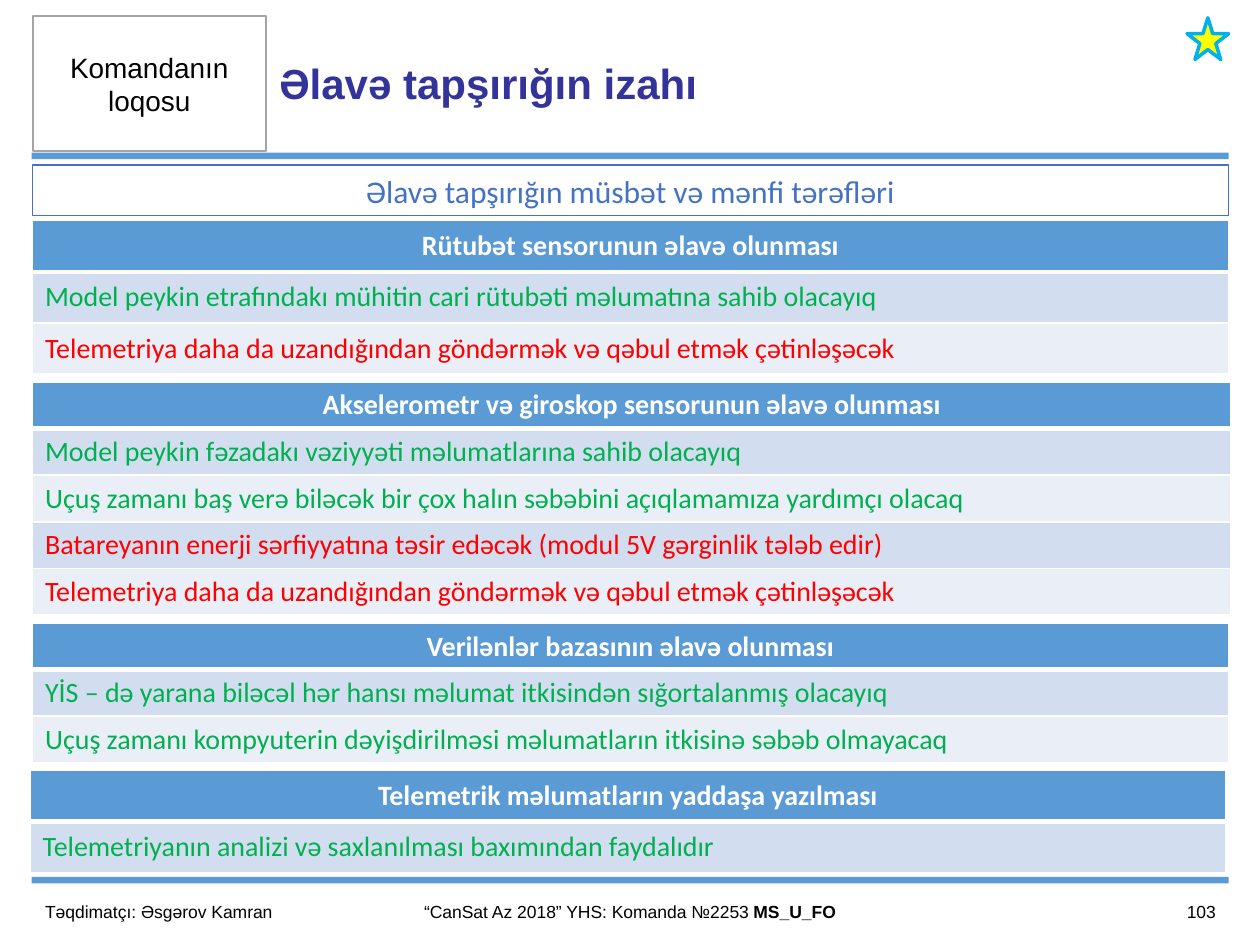
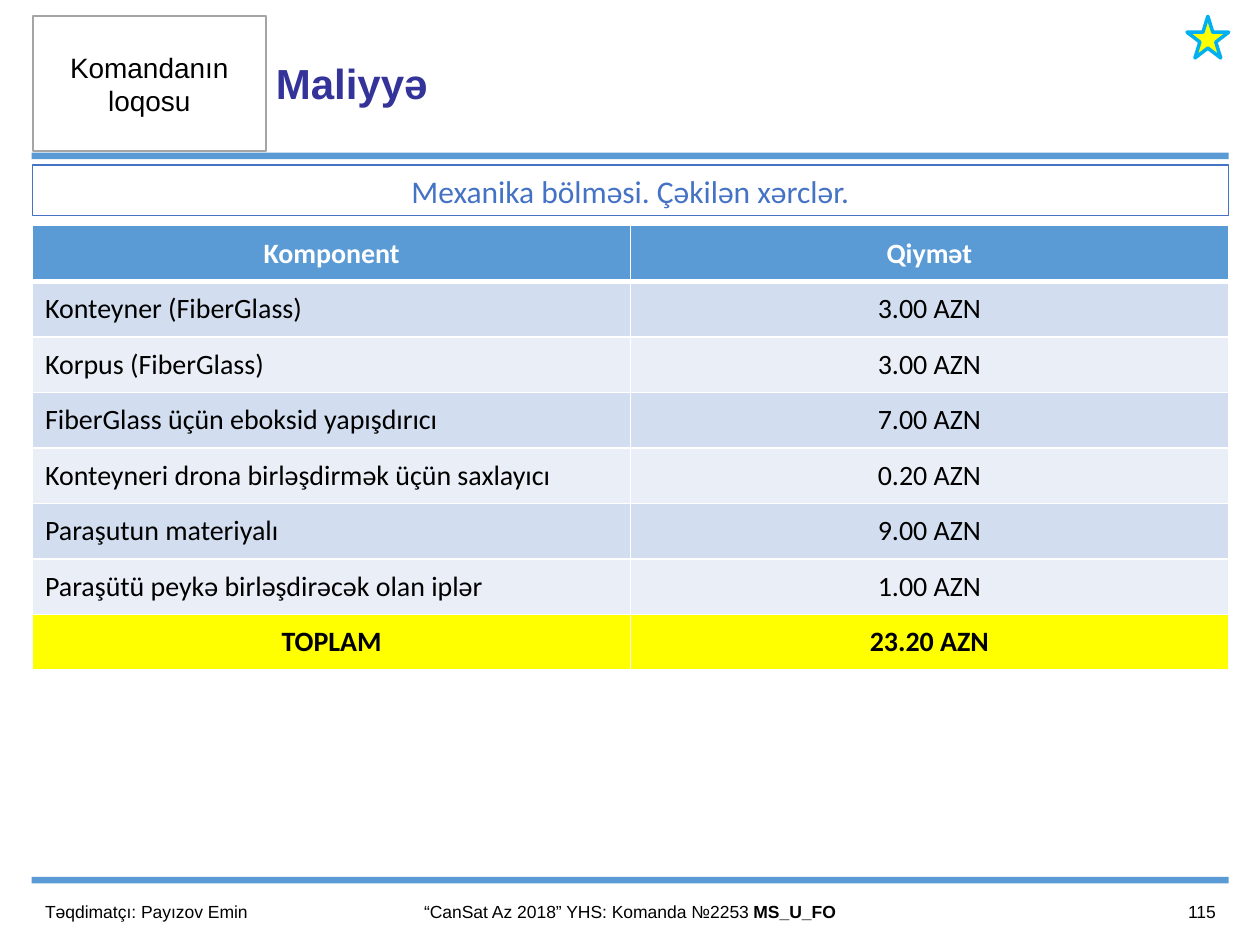
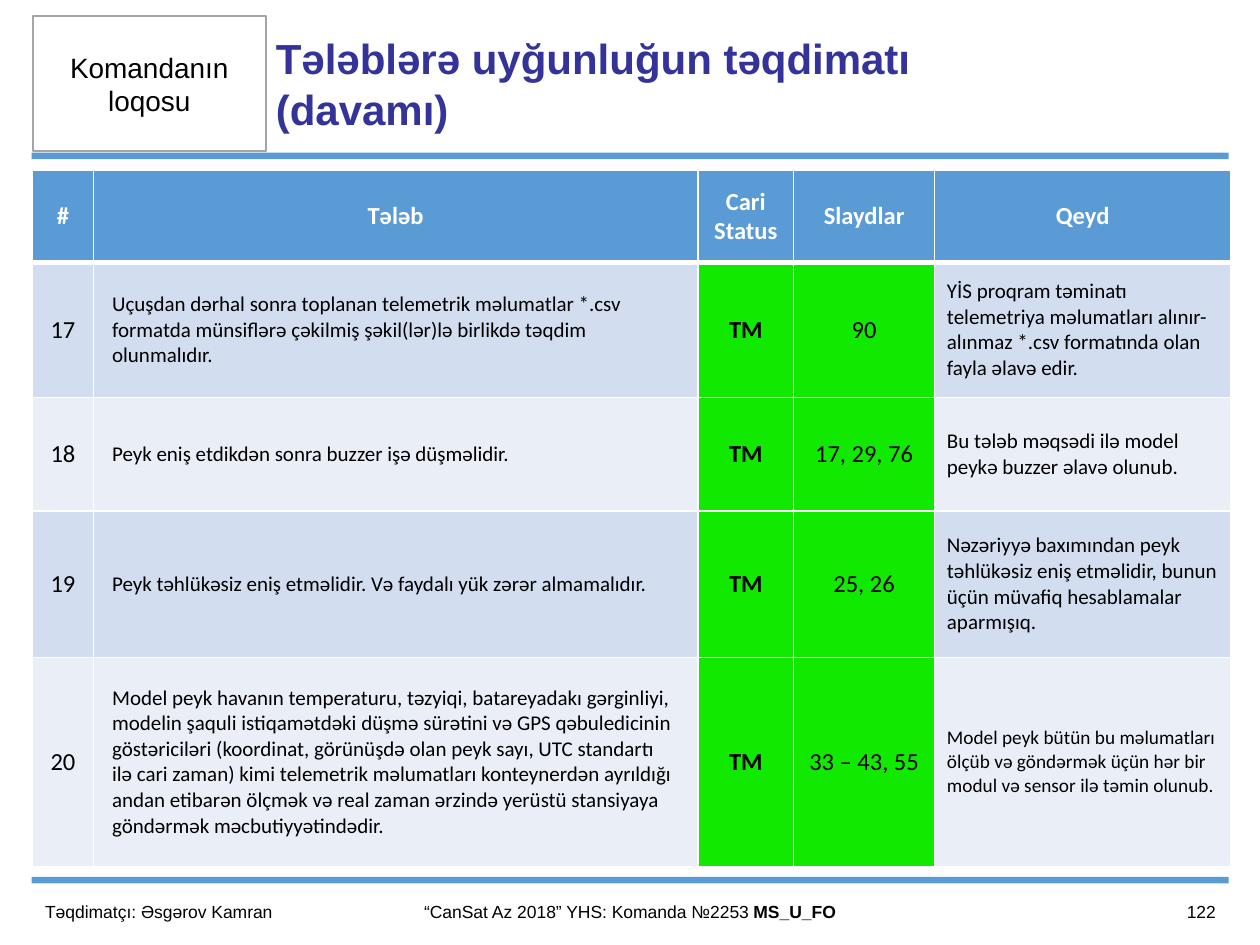
"""Build three CanSat review slides: task rationale, budget and requirement compliance."""
from dataclasses import dataclass
from typing import NamedTuple, Optional

from lxml import etree
from pptx import Presentation
from pptx import slide as s
from pptx import util as u
from pptx.dml import color as dml
from pptx.enum import shapes, text
from pptx.oxml import ns
from pptx.text import text as txt

BLUE, ACCENT, NAVY = "5B9BD5", "4472C4", "333399"
BAND_DARK, BAND_LIGHT = "D2DEEF", "EAEFF7"
WHITE, BLACK, GREY = "FFFFFF", "000000", "A5A5A5"
GREEN, RED, YELLOW, LIME, SKY = "00B050", "FF0000", "FFFF00", "11EA00", "00B0F0"
LEFT, CENTER, RIGHT = text.PP_ALIGN.LEFT, text.PP_ALIGN.CENTER, text.PP_ALIGN.RIGHT
RECTANGLE, STAR = shapes.MSO_SHAPE.RECTANGLE, shapes.MSO_SHAPE.STAR_5_POINT


class Area(NamedTuple):
    left: float
    top: float
    width: float
    height: float

    def lengths(self) -> list[u.Length]:
        return [u.Cm(value) for value in self]


class Column(NamedTuple):
    width: float
    align: text.PP_ALIGN = LEFT
    size: float = 16
    bold: bool = False
    fill: Optional[str] = None
    margin: float = 0.25


class Row(NamedTuple):
    cells: tuple[str, ...]
    color: str = BLACK
    total: bool = False
    note_size: Optional[float] = None


@dataclass
class Grid:
    left: float
    top: float
    heights: list[float]
    columns: list[Column]
    header: tuple[str, ...]
    rows: list[Row]
    header_size: float = 16


@dataclass
class Page:
    title: str
    presenter: str
    number: str
    grids: list[Grid]
    subtitle: str = ""
    title_inset: float = 0.18
    star_top: Optional[float] = None


def rgb(value: str) -> dml.RGBColor:
    return dml.RGBColor.from_string(value)


def write(frame: txt.TextFrame, content: str, *, size: float, color: str = BLACK,
          font: str = "Arial", bold: bool = False, align: text.PP_ALIGN = LEFT) -> None:
    """Append a formatted span to the first paragraph of a frame."""
    frame.word_wrap = True
    para = frame.paragraphs[0]
    para.alignment = align
    span = para.add_run()
    span.text = content
    span.font.name, span.font.size, span.font.bold = font, u.Pt(size), bold
    span.font.color.rgb = rgb(color)


def add_box(page: s.Slide, area: Area, *, kind: shapes.MSO_SHAPE = RECTANGLE,
            fill: Optional[str] = None, line: Optional[str] = None,
            weight: float = 1) -> txt.TextFrame:
    box = page.shapes.add_shape(kind, *area.lengths())
    box.shadow.inherit = False
    if fill:
        box.fill.solid()
        box.fill.fore_color.rgb = rgb(fill)
    else:
        box.fill.background()
    if line:
        box.line.color.rgb = rgb(line)
        box.line.width = u.Pt(weight)
    else:
        box.line.fill.background()
    box.text_frame.vertical_anchor = text.MSO_ANCHOR.MIDDLE
    return box.text_frame


def add_label(page: s.Slide, area: Area) -> txt.TextFrame:
    frame = page.shapes.add_textbox(*area.lengths()).text_frame
    frame.vertical_anchor = text.MSO_ANCHOR.MIDDLE
    return frame


def set_borders(cell, top: float, bottom: float) -> None:
    properties = cell._tc.get_or_add_tcPr()
    for side, weight in (("L", 1), ("R", 1), ("T", top), ("B", bottom)):
        border = etree.SubElement(properties, ns.qn(f"a:ln{side}"), w=str(u.Pt(weight)))
        fill = etree.SubElement(border, ns.qn("a:solidFill"))
        etree.SubElement(fill, ns.qn("a:srgbClr"), val=WHITE)


def fill_cell(cell, content: str, *, fill: str, margin: float = 0.25,
              top: float = 1, bottom: float = 1, **style) -> None:
    set_borders(cell, top, bottom)
    cell.fill.solid()
    cell.fill.fore_color.rgb = rgb(fill)
    cell.vertical_anchor = text.MSO_ANCHOR.MIDDLE
    cell.margin_left = cell.margin_right = u.Cm(margin)
    write(cell.text_frame, content, font="Calibri", **style)


def add_grid(page: s.Slide, grid: Grid) -> None:
    """Draw a table with a blue header and alternating row bands."""
    area = Area(grid.left, grid.top, sum(c.width for c in grid.columns), sum(grid.heights))
    table = page.shapes.add_table(len(grid.heights), len(grid.columns), *area.lengths()).table
    table.first_row = table.horz_banding = False
    for line, height in zip(table.rows, grid.heights):
        line.height = u.Cm(height)
    for index, column in enumerate(grid.columns):
        table.columns[index].width = u.Cm(column.width)
        fill_cell(table.cell(0, index), grid.header[index], fill=BLUE, bottom=3,
                  size=grid.header_size, color=WHITE, bold=True, align=CENTER)
        for number, row in enumerate(grid.rows, 1):
            band = BAND_DARK if number % 2 else BAND_LIGHT
            last = index == len(grid.columns) - 1
            fill_cell(table.cell(number, index), row.cells[index],
                      fill=YELLOW if row.total else column.fill or band,
                      margin=column.margin, top=3 if number == 1 else 1,
                      size=row.note_size if last and row.note_size else column.size,
                      color=row.color, bold=row.total or column.bold,
                      align=CENTER if row.total else column.align)


def add_frame(page: s.Slide, content: Page) -> None:
    """Draw the title, bands, logo box, star, subtitle and footer."""
    title = page.shapes.title
    title.left, title.top, title.width, title.height = Area(5.38, 0.33, 15.24, 2.69).lengths()
    frame = title.text_frame
    frame.auto_size = text.MSO_AUTO_SIZE.NONE
    frame.vertical_anchor = text.MSO_ANCHOR.MIDDLE
    frame.margin_left = frame.margin_right = u.Cm(content.title_inset)
    write(frame, content.title, size=24, color=NAVY, bold=True)
    for top in (3.08, 17.68):
        add_box(page, Area(0.64, top, 24.13, 0.13), fill=BLUE)
    logo = add_box(page, Area(0.66, 0.33, 4.7, 2.72), fill=WHITE, line=GREY)
    write(logo, "Komandanın loqosu", size=16, align=CENTER)
    if content.star_top is not None:
        add_box(page, Area(23.93, content.star_top, 0.84, 0.84), kind=STAR,
                fill=YELLOW, line=SKY, weight=2)
    if content.subtitle:
        subtitle = add_box(page, Area(0.66, 3.33, 24.1, 1.02), line=ACCENT, weight=0.75)
        write(subtitle, content.subtitle, size=18, color=ACCENT, font="Calibri", align=CENTER)
    write(add_label(page, Area(0.66, 17.86, 6.07, 1.02)),
          f"Təqdimatçı: {content.presenter}", size=10)
    team = add_label(page, Area(6.73, 17.86, 11.94, 1.02))
    write(team, "“CanSat Az 2018” YHS: Komanda №2253 ", size=10, align=CENTER)
    write(team, "MS_U_FO", size=10, bold=True, align=CENTER)
    write(add_label(page, Area(22.22, 17.86, 2.54, 1.02)), content.number, size=10, align=RIGHT)


def argument_grid(left: float, top: float, height: float, header: str,
                  pros: list[str], cons: list[str], width: float = 24.1) -> Grid:
    """Describe a one-column table with green advantages and red drawbacks."""
    rows = [Row((pro,), GREEN) for pro in pros] + [Row((con,), RED) for con in cons]
    return Grid(left, top, [height] * (len(rows) + 1), [Column(width)], (header,), rows)


LONGER_TELEMETRY = "Telemetriya daha da uzandığından göndərmək və qəbul etmək çətinləşəcək"

ARGUMENTS = [
    argument_grid(0.66, 4.45, 1.03, "Rütubət sensorunun əlavə olunması",
                  ["Model peykin etrafındakı mühitin cari rütubəti məlumatına sahib olacayıq"],
                  [LONGER_TELEMETRY]),
    argument_grid(0.66, 7.7, 0.94, "Akselerometr və giroskop sensorunun əlavə olunması",
                  ["Model peykin fəzadakı vəziyyəti məlumatlarına sahib olacayıq",
                   "Uçuş zamanı baş verə biləcək bir çox halın səbəbini açıqlamamıza "
                   "yardımçı olacaq"],
                  ["Batareyanın enerji sərfiyyatına təsir edəcək (modul 5V gərginlik tələb edir)",
                   LONGER_TELEMETRY], width=24.16),
    argument_grid(0.66, 12.57, 0.93, "Verilənlər bazasının əlavə olunması",
                  ["YİS – də yarana biləcəl hər hansı məlumat itkisindən sığortalanmış olacayıq",
                   "Uçuş zamanı kompyuterin dəyişdirilməsi məlumatların itkisinə səbəb olmayacaq"],
                  []),
    argument_grid(0.61, 15.53, 1.03, "Telemetrik məlumatların yaddaşa yazılması",
                  ["Telemetriyanın analizi və saxlanılması baxımından faydalıdır"], []),
]

BUDGET = Grid(
    0.66, 4.55, [1.12] * 8, [Column(12.05), Column(12.05, CENTER)], ("Komponent", "Qiymət"),
    [Row(("Konteyner (FiberGlass)", "3.00 AZN")),
     Row(("Korpus (FiberGlass)", "3.00 AZN")),
     Row(("FiberGlass üçün eboksid yapışdırıcı", "7.00 AZN")),
     Row(("Konteyneri drona birləşdirmək üçün saxlayıcı", "0.20 AZN")),
     Row(("Paraşutun materiyalı", "9.00 AZN")),
     Row(("Paraşütü peykə birləşdirəcək olan iplər", "1.00 AZN")),
     Row(("TOPLAM", "23.20 AZN"), total=True)])

COMPLIANCE = Grid(
    0.66, 3.44, [1.85, 2.72, 2.29, 2.95, 4.22],
    [Column(1.22, CENTER, 14), Column(12.19, size=12, margin=0.38),
     Column(1.93, CENTER, 14, True, LIME), Column(2.84, CENTER, 14, fill=LIME),
     Column(5.97, size=12)],
    ("#", "Tələb", "Cari Status", "Slaydlar", "Qeyd"),
    [Row(("17", "Uçuşdan dərhal sonra toplanan telemetrik məlumatlar *.csv formatda münsiflərə "
          "çəkilmiş şəkil(lər)lə birlikdə təqdim olunmalıdır.", "TM", "90",
          "YİS proqram təminatı telemetriya məlumatları alınır-alınmaz *.csv formatında olan "
          "fayla əlavə edir.")),
     Row(("18", "Peyk eniş etdikdən sonra buzzer işə düşməlidir.", "TM", "17, 29, 76",
          "Bu tələb məqsədi ilə model peykə buzzer əlavə olunub.")),
     Row(("19", "Peyk təhlükəsiz eniş etməlidir. Və faydalı yük zərər almamalıdır.", "TM",
          "25, 26", "Nəzəriyyə baxımından peyk təhlükəsiz eniş etməlidir, bunun üçün müvafiq "
          "hesablamalar aparmışıq.")),
     Row(("20", "Model peyk havanın temperaturu, təzyiqi, batareyadakı gərginliyi, modelin şaquli "
          "istiqamətdəki düşmə sürətini və GPS qəbuledicinin göstəriciləri (koordinat, "
          "görünüşdə olan peyk sayı, UTC standartı ilə cari zaman) kimi telemetrik məlumatları "
          "konteynerdən ayrıldığı andan etibarən ölçmək və real zaman ərzində yerüstü "
          "stansiyaya göndərmək məcbutiyyətindədir.", "TM", "33 – 43, 55",
          "Model peyk bütün bu məlumatları ölçüb və göndərmək üçün hər bir modul və sensor "
          "ilə təmin olunub."), note_size=11)],
    header_size=14)

PAGES = [
    Page("Əlavə tapşırığın izahı", "Əsgərov Kamran", "103", ARGUMENTS,
         "Əlavə tapşırığın müsbət və mənfi tərəfləri", title_inset=0.25, star_top=0.36),
    Page("Maliyyə", "Payızov Emin", "115", [BUDGET],
         "Mexanika bölməsi. Çəkilən xərclər.", star_top=0.33),
    Page("Tələblərə uyğunluğun təqdimatı (davamı)", "Əsgərov Kamran", "122", [COMPLIANCE]),
]


def main() -> None:
    deck = Presentation()
    deck.slide_width, deck.slide_height = u.Cm(25.4), u.Cm(19.05)
    for content in PAGES:
        page = deck.slides.add_slide(deck.slide_layouts.get_by_name("Title Only"))
        add_frame(page, content)
        for grid in content.grids:
            add_grid(page, grid)
    deck.save("out.pptx")


if __name__ == "__main__":
    main()
